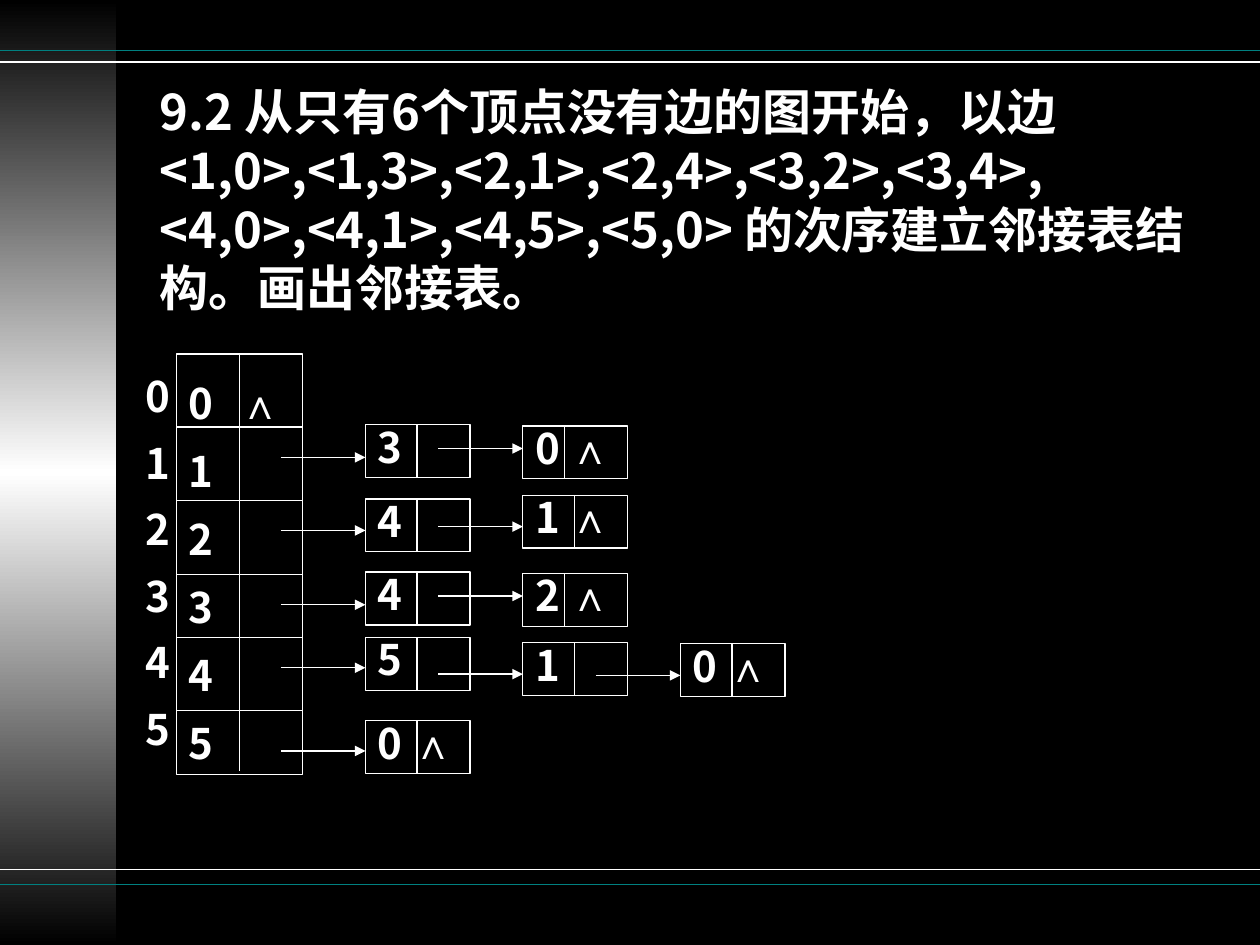
from dataclasses import dataclass
from copy import deepcopy
from pptx import Presentation, util as u
from pptx.dml.color import RGBColor
from pptx.enum import shapes, text
from pptx.oxml.ns import qn
from lxml import etree


@dataclass(frozen=True)
class Theme:
    black: str = "000000"
    white: str = "FFFFFF"
    teal: str = "008080"
    font: str = "Noto Sans CJK SC"
    sign: str = "Arial"
    head: int = 28
    body: int = 24
    thin: float = 0.75
    rule: float = 1


class Painter:
    def __init__(self, slide, theme):
        self.slide = slide
        self.theme = theme

    def color(self, code):
        return RGBColor.from_string(code)

    def ground(self):
        fill = self.slide.background.fill
        fill.solid()
        fill.fore_color.rgb = self.color(self.theme.black)

    def rect(self, x, y, w, h):
        box = self.slide.shapes.add_shape(
            shapes.MSO_SHAPE.RECTANGLE, *map(u.Inches, (x, y, w, h)))
        box.shadow.inherit = False
        box.fill.background()
        box.line.color.rgb = self.color(self.theme.white)
        box.line.width = u.Pt(self.theme.thin)
        return box

    def band(self, x, y, w, h):
        box = self.rect(x, y, w, h)
        box.line.fill.background()
        box.fill.gradient()
        box.fill.gradient_angle = 90
        stops = box._element.spPr.find(qn("a:gradFill")).find(qn("a:gsLst"))
        stops.append(deepcopy(stops[0]))
        shades = (self.theme.black, self.theme.white, self.theme.black)
        for stop, place, shade in zip(box.fill.gradient_stops, (0, 0.5, 1), shades):
            stop.position = place
            stop.color.rgb = self.color(shade)

    def line(self, x1, y1, x2, y2, color=None, width=None, arrow=False):
        link = self.slide.shapes.add_connector(
            shapes.MSO_CONNECTOR.STRAIGHT, *map(u.Inches, (x1, y1, x2, y2)))
        link.line.color.rgb = self.color(color or self.theme.white)
        link.line.width = u.Pt(width or self.theme.thin)
        if arrow:
            edge = link._element.spPr.find(qn("a:ln"))
            etree.SubElement(edge, qn("a:tailEnd"), type="triangle")
        etree.SubElement(link._element.spPr, qn("a:effectLst"))

    def style(self, run, size, font):
        run.font.size = u.Pt(size)
        run.font.bold = True
        run.font.name = font
        run.font.color.rgb = self.color(self.theme.white)
        east = etree.SubElement(run._r.get_or_add_rPr(), qn("a:ea"))
        east.set("typeface", font)

    def fill_in(self, box, lines, size, pace=1.0, gap=0, tab=None,
                anchor=text.MSO_ANCHOR.TOP):
        frame = box.text_frame
        frame.word_wrap = True
        frame.vertical_anchor = anchor
        for i, words in enumerate(lines):
            para = frame.paragraphs[0] if i == 0 else frame.add_paragraph()
            main, sign, _ = words.partition("∧")
            para.text = main
            if tab and "\t" in main:
                stops = etree.SubElement(para._p.get_or_add_pPr(), qn("a:tabLst"))
                etree.SubElement(stops, qn("a:tab"), pos=str(u.Inches(tab)), algn="l")
            para.alignment = text.PP_ALIGN.LEFT
            para.line_spacing = pace
            if i and gap:
                para.space_before = u.Pt(gap)
            for run in para.runs:
                self.style(run, size, self.theme.font)
            if sign:
                run = para.add_run()
                run.text = sign
                self.style(run, size, self.theme.sign)

    def label(self, x, y, w, h, lines, size, **rest):
        box = self.slide.shapes.add_textbox(*map(u.Inches, (x, y, w, h)))
        self.fill_in(box, lines, size, **rest)

    def node(self, x, y, words, split, arrow):
        w, h = 0.83, 0.42
        self.fill_in(self.rect(x, y, w, h), [words], self.theme.body, pace=0.8)
        self.line(x + split, y, x + split, y + h)
        self.line(x - 0.67, arrow, x, arrow, arrow=True)


def main():
    deck = Presentation()
    deck.slide_width, deck.slide_height = u.Inches(10), u.Inches(7.5)
    theme = Theme()
    art = Painter(deck.slides.add_slide(deck.slide_layouts[6]), theme)

    art.ground()
    art.band(0, 0, 0.92, 7.5)
    for y, color in ((0.4, theme.teal), (0.49, theme.white),
                     (6.9, theme.white), (7.02, theme.teal)):
        art.line(0, y, 10, y, color, theme.rule)

    title = ("9.2 从只有6个顶点没有边的图开始，以边"
             "<1,0>,<1,3>,<2,1>,<2,4>,<3,2>,<3,4>, "
             "<4,0>,<4,1>,<4,5>,<5,0> 的次序建立邻接表结构。画出邻接表。")
    art.label(1.17, 0.67, 8.48, 1.82, [title], theme.head,
              anchor=text.MSO_ANCHOR.MIDDLE)

    keys = [str(n) for n in range(6)]
    left, right, top, base = 1.4, 2.4, 2.81, 6.15
    heads = art.rect(left, top, right - left, base - top)
    art.fill_in(heads, ["0\t∧"] + keys[1:], theme.body, pace=1.35, tab=0.4)
    for y in (3.39, 3.97, 4.56, 5.06, 5.64):
        art.line(left, y, right, y)
    art.line(1.9, top, 1.9, 6.12)
    art.label(1.06, 2.97, 0.5, 3.06, keys, theme.body, pace=0.8, gap=15)

    half, third = 0.41, 0.33
    chains = (
        (("3", 3.37, half, 3.63), ("0 ∧", 3.38, third, 3.56)),
        (("4", 3.96, half, 4.21), ("1 ∧", 3.93, half, 4.18)),
        (("4", 4.54, half, 4.8), ("2 ∧", 4.55, third, 4.73)),
        (("5", 5.06, half, 5.3), ("1", 5.1, half, 5.35), ("0 ∧", 5.11, half, 5.36)),
        (("0 ∧", 5.72, half, 5.96),),
    )
    for chain in chains:
        for col, (words, y, split, arrow) in enumerate(chain):
            art.node(2.9 + 1.25 * col, y, words, split, arrow)

    deck.save("out.pptx")


if __name__ == "__main__":
    main()
